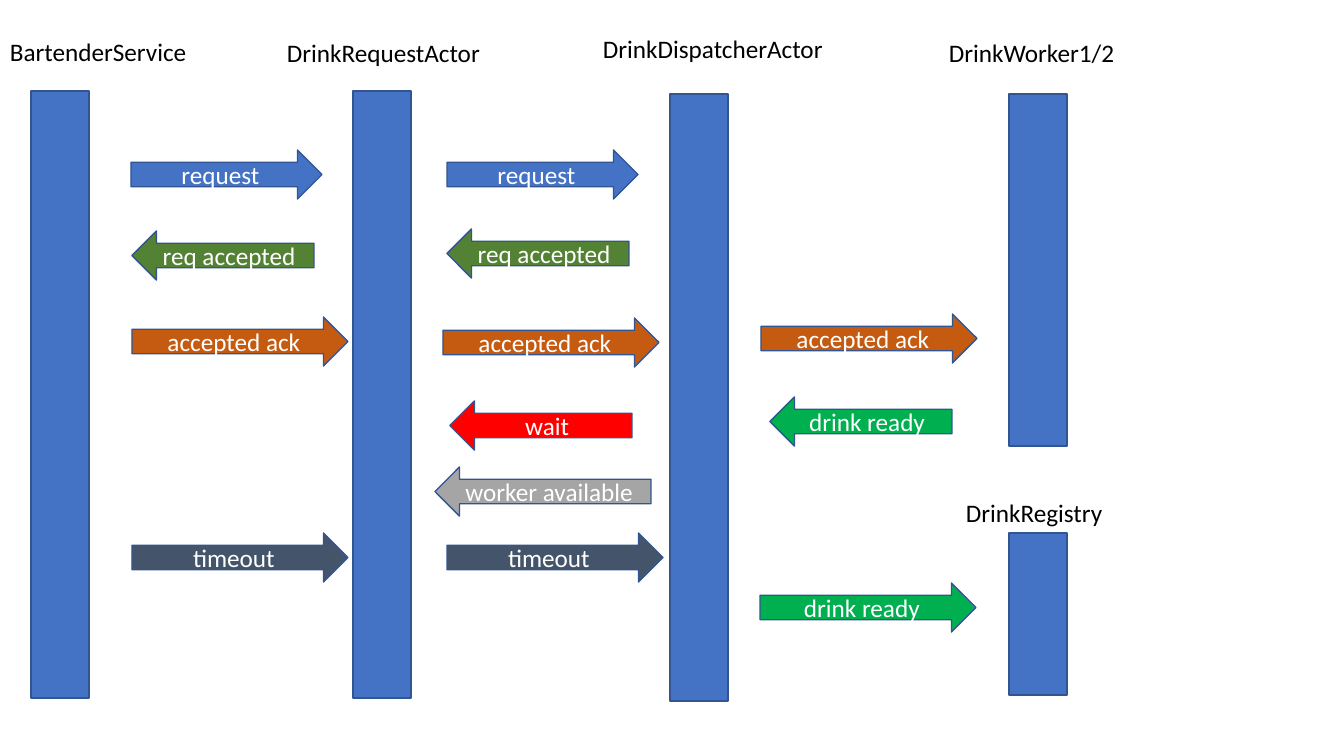
from dataclasses import dataclass

from pptx import Presentation
from pptx.dml.color import RGBColor
from pptx.enum.shapes import MSO_SHAPE
from pptx.enum.text import MSO_ANCHOR, MSO_AUTO_SIZE, PP_ALIGN
from pptx.util import Pt

RECTANGLE = MSO_SHAPE.RECTANGLE
RIGHT = MSO_SHAPE.RIGHT_ARROW
LEFT = MSO_SHAPE.LEFT_ARROW
MIDDLE = MSO_ANCHOR.MIDDLE
TOP = MSO_ANCHOR.TOP
FIT_TEXT = MSO_AUTO_SIZE.SHAPE_TO_FIT_TEXT
FIXED = MSO_AUTO_SIZE.NONE
CENTER = PP_ALIGN.CENTER
START = PP_ALIGN.LEFT

BLANK_LAYOUT = 6
PAGE_WIDTH, PAGE_HEIGHT = 1344, 756
SCALE = 914400 / 100.8
BAR_WIDTH = 58
ARROW_HEIGHT = 49
LABEL_HEIGHT = 40
SHORT, MEDIUM, LONG = 182, 191, 216


@dataclass(frozen=True)
class Theme:
    font: str = "Calibri"
    text_size: int = 18
    line_width: int = 1
    ink: str = "000000"
    light: str = "FFFFFF"
    outline: str = "325491"
    bar: str = "4472C4"
    request: str = "4472C4"
    accepted: str = "548235"
    acknowledged: str = "C55A11"
    wait: str = "FF0000"
    available: str = "A5A5A5"
    timeout: str = "44546A"
    ready: str = "00B050"


def emu(pixels):
    return round(pixels * SCALE)


def apply(target, values):
    for name, value in values.items():
        setattr(target, name, value)


class SequencePage:
    def __init__(self, page, theme):
        self.page = page
        self.theme = theme

    def add_text(self, box, text, color, align, frame_format):
        frame = box.text_frame
        apply(frame, frame_format)
        para = frame.paragraphs[0]
        para.alignment = align
        span = para.add_run()
        span.text = text
        apply(span.font, {"name": self.theme.font, "size": Pt(self.theme.text_size)})
        span.font.color.rgb = RGBColor.from_string(color)

    def shape(self, kind, left, top, width, height, fill):
        box = self.page.shapes.add_shape(kind, *map(emu, (left, top, width, height)))
        box.shadow.inherit = False
        box.fill.solid()
        box.fill.fore_color.rgb = RGBColor.from_string(fill)
        box.line.color.rgb = RGBColor.from_string(self.theme.outline)
        box.line.width = Pt(self.theme.line_width)
        return box

    def bar(self, left, top, height):
        self.shape(RECTANGLE, left, top, BAR_WIDTH, height, self.theme.bar)

    def arrow(self, text, kind, left, top, width, fill):
        box = self.shape(kind, left, top, width, ARROW_HEIGHT, fill)
        frame_format = {"word_wrap": True, "auto_size": FIXED, "vertical_anchor": MIDDLE}
        self.add_text(box, text, self.theme.light, CENTER, frame_format)

    def label(self, text, left, top, width):
        box = self.page.shapes.add_textbox(*map(emu, (left, top, width, LABEL_HEIGHT)))
        frame_format = {"word_wrap": True, "auto_size": FIT_TEXT, "vertical_anchor": TOP}
        self.add_text(box, text, self.theme.ink, START, frame_format)


theme = Theme()
deck = Presentation()
apply(deck, {"slide_width": emu(PAGE_WIDTH), "slide_height": emu(PAGE_HEIGHT)})
sequence = SequencePage(deck.slides.add_slide(deck.slide_layouts[BLANK_LAYOUT]), theme)

participants = [
    ("BartenderService", 0, 31, 204, 31, 91, 607),
    ("DrinkRequestActor", 277, 32, 243, 353, 91, 607),
    ("DrinkDispatcherActor", 593, 28, 243, 670, 94, 607),
    ("DrinkWorker1/2", 939, 32, 192, 1009, 94, 352),
    ("DrinkRegistry", 956, 492, 175, 1009, 533, 162),
]
for name, label_left, label_top, label_width, bar_left, bar_top, bar_height in participants:
    sequence.bar(bar_left, bar_top, bar_height)
    sequence.label(name, label_left, label_top, label_width)

messages = [
    ("request", RIGHT, MEDIUM, theme.request, [(131, 150), (447, 150)]),
    ("req accepted", LEFT, SHORT, theme.accepted, [(132, 231), (447, 229)]),
    ("accepted ack", RIGHT, LONG, theme.acknowledged, [(132, 317), (443, 318), (761, 314)]),
    ("wait", LEFT, SHORT, theme.wait, [(450, 401)]),
    ("worker available", LEFT, LONG, theme.available, [(435, 467)]),
    ("timeout", RIGHT, LONG, theme.timeout, [(132, 533), (447, 533)]),
    ("drink ready", LEFT, SHORT, theme.ready, [(770, 397)]),
    ("drink ready", RIGHT, LONG, theme.ready, [(760, 583)]),
]
for text, direction, width, fill, places in messages:
    for left, top in places:
        sequence.arrow(text, direction, left, top, width, fill)

deck.save("out.pptx")
